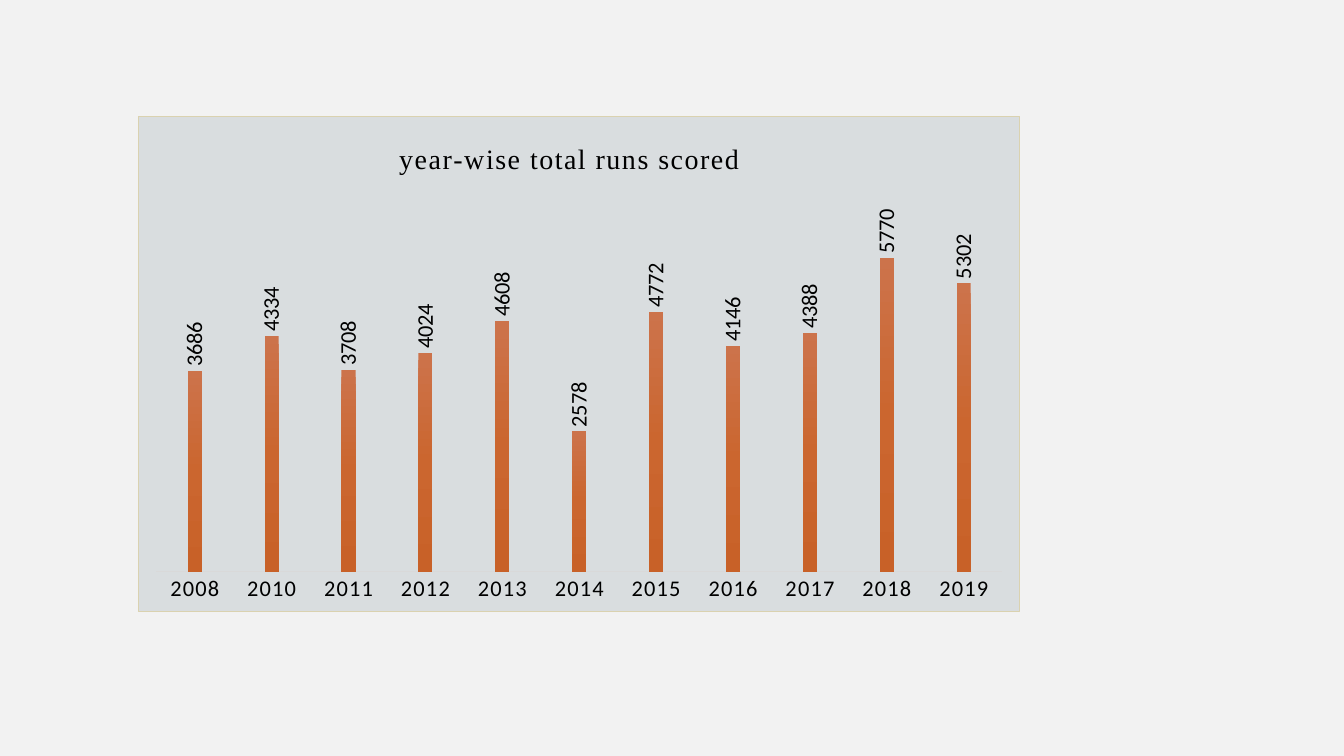
from dataclasses import dataclass

from pptx import Presentation
from pptx.chart.chart import Chart
from pptx.chart.data import CategoryChartData as Data
from pptx.dml.color import RGBColor as Color
from pptx.enum.chart import XL_CHART_TYPE as Kind
from pptx.enum.chart import XL_LABEL_POSITION as Place
from pptx.enum.chart import XL_TICK_MARK as Tick
from pptx.oxml import parse_xml
from pptx.oxml.ns import nsdecls
from pptx.text.text import Font, TextFrame
from pptx.util import Inches, Pt


@dataclass(frozen=True)
class Theme:
    page: str = "F2F2F2"
    panel: str = "D9DDDF"
    edge: str = "DAD2B0"
    axis: str = "D9D9D9"
    ink: str = "000000"
    bar: tuple[str, ...] = ("CC734B", "CB662F", "C86128")
    body: str = "Calibri"
    head: str = "Times New Roman"
    small: int = 16
    large: int = 20
    hair: float = 0.75
    track: int = 100  # letter spacing in hundredths of a point


@dataclass(frozen=True)
class Season:
    year: str
    runs: int


THEME = Theme()
SEASONS = [
    Season("2008", 3686), Season("2010", 4334), Season("2011", 3708),
    Season("2012", 4024), Season("2013", 4608), Season("2014", 2578),
    Season("2015", 4772), Season("2016", 4146), Season("2017", 4388),
    Season("2018", 5770), Season("2019", 5302),
]


def style(font: Font, *, name: str = THEME.body, size: int = THEME.small) -> None:
    font.name, font.size = name, Pt(size)
    font.bold = False
    font.color.rgb = Color.from_string(THEME.ink)


def write(frame: TextFrame, text: str, *, name: str, size: int) -> None:
    run = frame.paragraphs[0].add_run()
    run.text = text
    style(run.font, name=name, size=size)


def layout(x: float, y: float, size: tuple[float, float] | None = None):
    """Return a manual layout in fractions of the chart; a size fixes the plot."""
    parts = [("xMode", "edge"), ("yMode", "edge"), ("x", x), ("y", y)]
    if size:
        parts = [("layoutTarget", "inner"), *parts, ("w", size[0]), ("h", size[1])]
    tags = "".join(f'<c:{tag} val="{val}"/>' for tag, val in parts)
    return parse_xml(
        f"<c:layout {nsdecls('c')}><c:manualLayout>{tags}</c:manualLayout></c:layout>"
    )


def set_panel(chart: Chart) -> None:
    """Fill and outline the chart area."""
    panel = parse_xml(
        f"<c:spPr {nsdecls('c', 'a')}>"
        f'<a:solidFill><a:srgbClr val="{THEME.panel}"/></a:solidFill>'
        f'<a:ln w="{Pt(THEME.hair)}"><a:solidFill>'
        f'<a:srgbClr val="{THEME.edge}"/></a:solidFill></a:ln></c:spPr>'
    )
    chart.element.xpath("c:chart")[0].addnext(panel)


def set_title(chart: Chart) -> None:
    frame = chart.chart_title.text_frame
    write(frame, "year-wise total runs scored", name=THEME.head, size=THEME.large)
    title = chart.element.xpath("c:chart/c:title")[0]
    for old in title.xpath("c:layout"):
        title.remove(old)
    title.xpath("c:tx")[0].addnext(layout(0.29, 0.04))
    chart.chart_title.include_in_layout = False
    title.xpath(".//a:r/a:rPr")[0].set("spc", str(THEME.track))


def set_axes(chart: Chart) -> None:
    years, runs = chart.category_axis, chart.value_axis
    years.major_tick_mark = years.minor_tick_mark = Tick.NONE
    years.has_major_gridlines = False
    style(years.tick_labels.font)
    line = years.format.line
    line.color.rgb, line.width = Color.from_string(THEME.axis), Pt(THEME.hair)
    chart.element.xpath(".//c:catAx//a:defRPr")[0].set("spc", str(THEME.track))
    runs.visible = runs.has_major_gridlines = False
    runs.minimum_scale, runs.maximum_scale = 0, 7000


def set_bars(chart: Chart) -> None:
    plot = chart.plots[0]
    plot.gap_width, plot.overlap = 444, -90
    plot.vary_by_categories = False
    bars = plot.series[0]
    bars.invert_if_negative = False
    step = 100000 // (len(THEME.bar) - 1)
    stops = "".join(
        f'<a:gs pos="{i * step}"><a:srgbClr val="{shade}"/></a:gs>'
        for i, shade in enumerate(THEME.bar)
    )
    bars.format.fill.background()
    none = chart.element.xpath(".//c:ser/c:spPr/a:noFill")[0]
    none.getparent().replace(none, parse_xml(
        f"<a:gradFill {nsdecls('a')}><a:gsLst>{stops}</a:gsLst>"
        '<a:lin ang="5400000" scaled="0"/></a:gradFill>'
    ))
    labels = bars.data_labels
    labels.show_value, labels.position = True, Place.OUTSIDE_END
    style(labels.font)
    turn = chart.element.xpath(".//c:ser/c:dLbls/c:txPr/a:bodyPr")[0]
    turn.set("rot", "-5400000")
    turn.set("vert", "horz")


def set_plot(chart: Chart) -> None:
    area = chart.element.xpath("c:chart/c:plotArea")[0]
    for old in area.xpath("c:layout"):
        area.remove(old)
    area.insert(0, layout(0.02, 0.15, (0.96, 0.77)))


def main() -> None:
    deck = Presentation()
    deck.slide_width, deck.slide_height = Inches(13.33), Inches(7.5)
    slide = deck.slides.add_slide(deck.slide_layouts[6])
    back = slide.background.fill
    back.solid()
    back.fore_color.rgb = Color.from_string(THEME.page)

    data = Data()
    data.categories = [season.year for season in SEASONS]
    data.add_series("Series 1", [season.runs for season in SEASONS])
    box = map(Inches, (1.37, 1.15, 8.75, 4.92))
    chart = slide.shapes.add_chart(Kind.COLUMN_CLUSTERED, *box, data).chart
    chart.has_legend = False
    style(chart.font)
    for step in (set_panel, set_title, set_axes, set_bars, set_plot):
        step(chart)
    deck.save("out.pptx")


if __name__ == "__main__":
    main()
